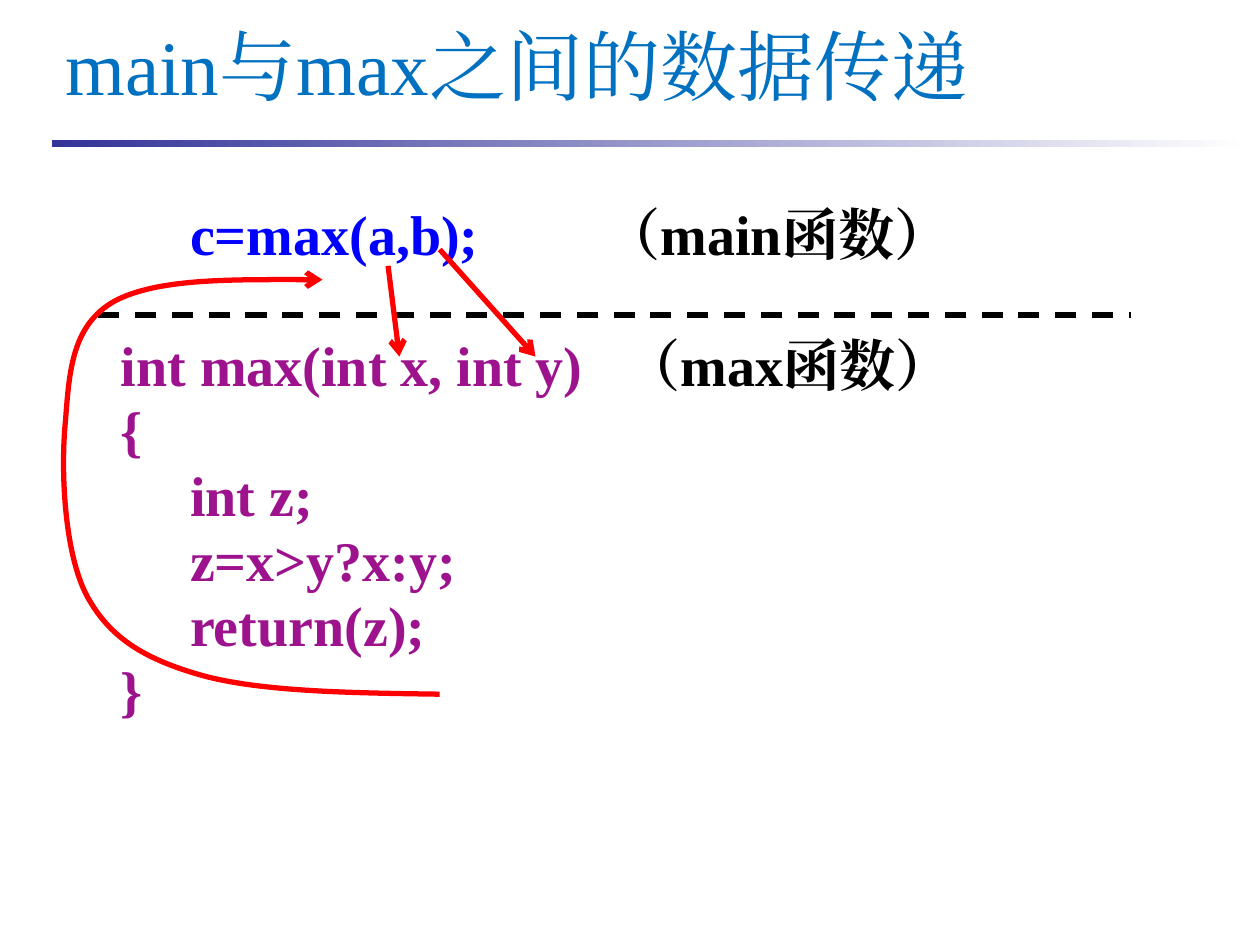
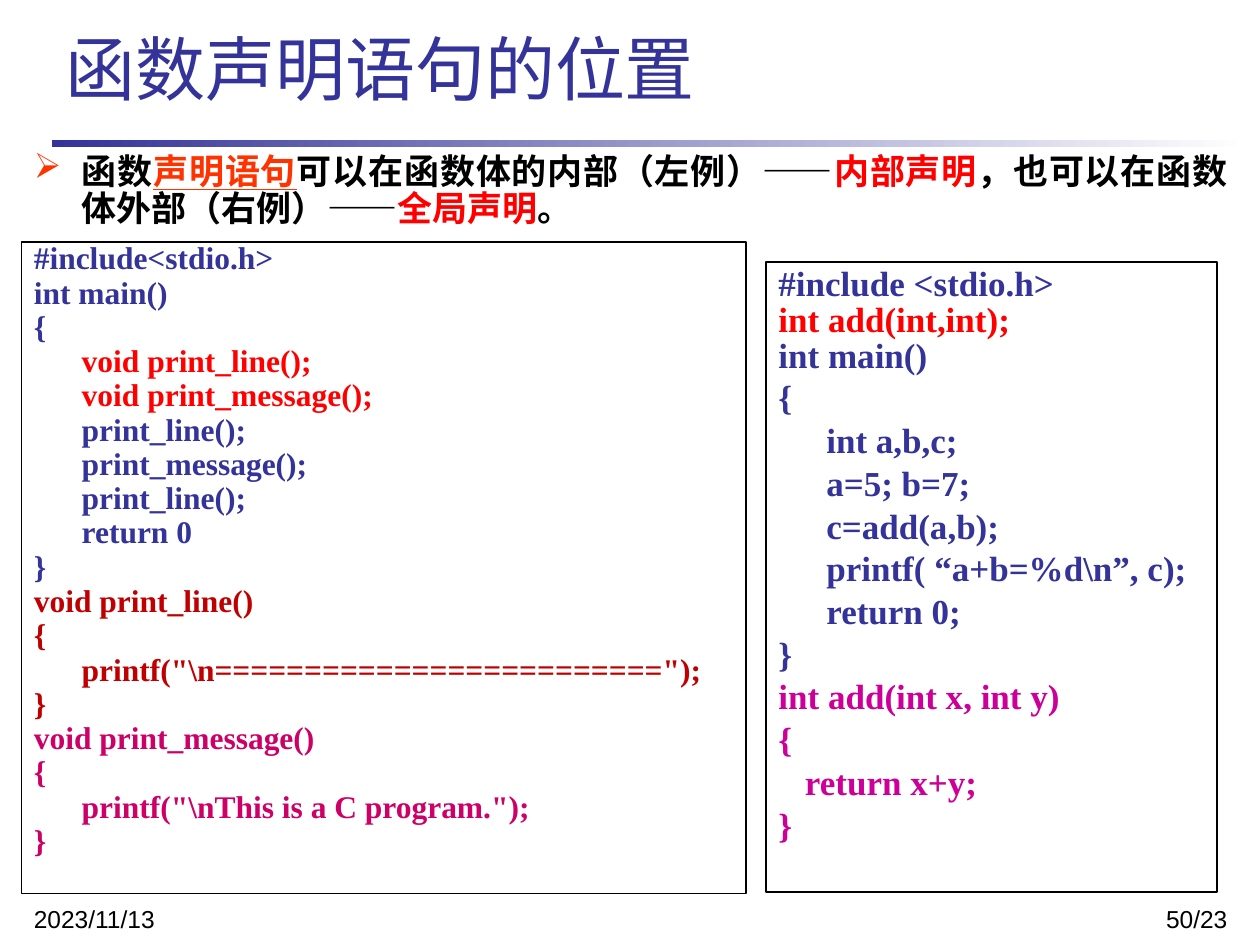
from lxml import etree
from pptx import Presentation
from pptx.dml.color import RGBColor
from pptx.enum.dml import MSO_LINE
from pptx.enum.shapes import MSO_CONNECTOR, MSO_SHAPE
from pptx.enum.text import MSO_ANCHOR, MSO_AUTO_SIZE, PP_ALIGN
from pptx.oxml.ns import qn
from pptx.util import Inches, Pt

RECTANGLE = MSO_SHAPE.RECTANGLE
STRAIGHT = MSO_CONNECTOR.STRAIGHT
LEFT, RIGHT, JUSTIFY = PP_ALIGN.LEFT, PP_ALIGN.RIGHT, PP_ALIGN.JUSTIFY

COLOURS = {
    "black": "000000", "white": "FFFFFF", "navy": "333399", "azure": "0070C0",
    "blue": "0000FF", "purple": "9D138D", "red": "FF0000", "orange": "FF3300",
    "dark red": "C00000", "magenta": "CC0099", "crimson": "CC0066",
}
SERIF, SANS, CHINESE = "Times New Roman", "Arial", "Noto Sans CJK SC"

TITLE_BOX = (0.42, 0.25, 9.33, 0.67)
BAND_BOX = (0.41, 1.11, 9.51, 0.06)
HANGING = 0.38

# Every paragraph is a list of (text, colour) runs.
CALL_TITLE = "main与max之间的数据传递"
CALL_BOX = (0.86, 1.64, 8.59, 4.77)
CALL_LINES = [
    [("\tc=max(a,b);\t", "blue"), ("（main函数）", "black")],
    [("int max(int x, int y)\t", "purple"), ("（max函数）", "black")],
    [("{", "purple")],
    [("\tint z;", "purple")],
    [("\tz=x>y?x:y;", "purple")],
    [("\treturn(z);", "purple")],
    [("}", "purple")],
]
CALL_TABS = [(0.55, 3.84), (4.0,)] + [(0.55,)] * 5
DIVIDER = ((0.78, 2.5), (8.98, 2.5))
ARGUMENT_ARROWS = [((3.08, 2.11), (3.17, 2.83)), ((3.49, 1.98), (4.25, 2.83))]
RETURN_CURVE = [
    (3.49, 5.51),
    (2.78, 5.5), (2.07, 5.49), (1.6, 5.36),
    (1.14, 5.23), (0.87, 5.06), (0.69, 4.73),
    (0.51, 4.39), (0.48, 3.73), (0.52, 3.34),
    (0.55, 2.95), (0.57, 2.58), (0.91, 2.39),
    (1.25, 2.21), (1.91, 2.22), (2.56, 2.22),
]

DECLARATION_TITLE = "函数声明语句的位置"
RULE_BOX = (0.17, 1.17, 9.67, 1.25)
RULE = [
    ("函数", "black"), ("声明语句", "orange"),
    ("可以在函数体的内部（左例）——", "black"), ("内部声明", "red"),
    ("，也可以在函数体外部（右例）——", "black"), ("全局声明", "red"), ("。", "black"),
]
INNER_BOX = (0.17, 1.92, 5.75, 5.17)
INNER_CODE = [
    ("navy", ["#include<stdio.h>", "int main()", "{"]),
    ("red", ["\tvoid print_line();", "\tvoid print_message();"]),
    ("navy", ["\tprint_line();", "\tprint_message();", "\tprint_line();", "\treturn 0", "}"]),
    ("dark red", ["void print_line()", "{", '\tprintf("\\n=========================");', "}"]),
    ("crimson", ["void print_message()", "{", '\tprintf("\\nThis is a C program.");', "}"]),
]
GLOBAL_BOX = (6.08, 2.08, 3.58, 5)
GLOBAL_CODE = [
    ("navy", ["#include <stdio.h>"]),
    ("red", ["int add(int,int);"]),
    ("navy", ["int main()", "{", "\tint a,b,c;", "\ta=5; b=7;", "\tc=add(a,b);",
              "\tprintf( “a+b=%d\\n”, c);", "\treturn 0;", "}"]),
    ("magenta", ["int add(int x, int y)", "{", "return x+y;", "}"]),
]
FOOTERS = [
    ("2023/11/13", (0.17, 7.17, 2.33, 0.18), LEFT),
    ("50/23", (7.92, 7.17, 1.92, 0.18), RIGHT),
]


def colour(name):
    return RGBColor.from_string(COLOURS[name])


def inches(values):
    return [Inches(value) for value in values]


def add_element(parent, tag, **attributes):
    return etree.SubElement(parent, qn(tag), attributes)


def write_runs(paragraph, runs, size, font_name, bold=False):
    for text, colour_name in runs:
        run = paragraph.add_run()
        run.text = text
        font = run.font
        font.size, font.bold, font.name = Pt(size), bold, font_name
        font.color.rgb = colour(colour_name)
        add_element(run._r.get_or_add_rPr(), "a:ea", typeface=font_name)


def write_paragraphs(frame, lines, size, font_name, spacing, bold=False, align=LEFT):
    """Fill a frame; later paragraphs get a gap of a fifth of the text size."""
    frame.word_wrap = True
    frame.vertical_anchor = MSO_ANCHOR.TOP
    for index, runs in enumerate(lines):
        paragraph = frame.add_paragraph() if index else frame.paragraphs[0]
        paragraph.alignment = align
        paragraph.line_spacing = spacing
        paragraph.space_before = Pt(size * 0.2 if index else 0)
        write_runs(paragraph, runs, size, font_name, bold)
    return frame.paragraphs


def add_text(slide, box, lines, *style, **options):
    frame = slide.shapes.add_textbox(*inches(box)).text_frame
    return write_paragraphs(frame, lines, *style, **options)


def set_indent(paragraph, margin, first_line=0.0):
    properties = paragraph._p.get_or_add_pPr()
    properties.set("marL", str(Inches(margin)))
    properties.set("indent", str(Inches(first_line)))


def set_tabs(paragraph, stops):
    tabs = add_element(paragraph._p.get_or_add_pPr(), "a:tabLst")
    for stop in stops:
        add_element(tabs, "a:tab", pos=str(Inches(stop)), algn="l")


def style_line(shape, colour_name, arrow=False):
    shape.line.color.rgb = colour(colour_name)
    shape.line.width = Pt(3)
    if arrow:
        add_element(shape.line._get_or_add_ln(), "a:tailEnd", type="arrow")


def add_line(slide, ends, colour_name, arrow=False):
    start, end = ends
    line = slide.shapes.add_connector(STRAIGHT, *inches(start + end))
    style_line(line, colour_name, arrow)
    add_element(line._element.spPr, "a:effectLst")
    return line


def add_curve(slide, points, colour_name):
    """Draw a Bezier curve: a start, then two controls and an end per segment."""
    points = [tuple(inches(point)) for point in points]
    builder = slide.shapes.build_freeform(*points[0])
    builder.add_line_segments(points[1:], close=False)
    curve = builder.convert_to_shape()
    curve.shadow.inherit = False
    curve.fill.background()
    style_line(curve, colour_name, arrow=True)
    segments = list(curve._element.iter(qn("a:lnTo")))
    for first in range(0, len(segments), 3):
        bezier = etree.Element(qn("a:cubicBezTo"))
        segments[first].addprevious(bezier)
        for segment in segments[first:first + 3]:
            bezier.append(segment[0])
            segment.getparent().remove(segment)


def add_titled_slide(presentation, title, size, font_name, colour_name, spacing):
    slide = presentation.slides.add_slide(presentation.slide_layouts[5])
    band = slide.shapes.add_shape(RECTANGLE, *inches(BAND_BOX))
    band.shadow.inherit = False
    band.line.fill.background()
    band.fill.gradient()
    band.fill.gradient_angle = 0
    for stop, name in zip(band.fill.gradient_stops, ("navy", "white")):
        stop.color.rgb = colour(name)

    placeholder = slide.shapes.title
    placeholder.left, placeholder.top, placeholder.width, placeholder.height = inches(TITLE_BOX)
    frame = placeholder.text_frame
    write_paragraphs(frame, [[(title, colour_name)]], size, font_name, spacing)
    frame.auto_size = MSO_AUTO_SIZE.NONE
    frame.vertical_anchor = MSO_ANCHOR.MIDDLE
    return slide


def add_code_box(slide, box, blocks, size, spacing, fill=None):
    shape = slide.shapes.add_shape(RECTANGLE, *inches(box))
    shape.shadow.inherit = False
    if fill:
        shape.fill.solid()
        shape.fill.fore_color.rgb = colour(fill)
    else:
        shape.fill.background()
    shape.line.color.rgb = colour("black")
    shape.line.width = Pt(0.75)
    lines = [[(text, name)] for name, texts in blocks for text in texts]
    paragraphs = write_paragraphs(shape.text_frame, lines, size, SERIF, spacing, bold=True)
    for paragraph in paragraphs:
        set_indent(paragraph, HANGING, -HANGING)
    return paragraphs


def build_call_slide(presentation):
    slide = add_titled_slide(presentation, CALL_TITLE, 44, SERIF, "azure", 0.8)
    paragraphs = add_text(slide, CALL_BOX, CALL_LINES, 32, SERIF, 0.8, bold=True)
    paragraphs[1].space_before = Pt(44)
    for paragraph, stops in zip(paragraphs, CALL_TABS):
        set_tabs(paragraph, stops)
    add_line(slide, DIVIDER, "black").line.dash_style = MSO_LINE.DASH
    for ends in ARGUMENT_ARROWS:
        add_line(slide, ends, "red", arrow=True)
    add_curve(slide, RETURN_CURVE, "red")


def build_declaration_slide(presentation):
    slide = add_titled_slide(presentation, DECLARATION_TITLE, 40, CHINESE, "navy", 0.85)
    for text, box, align in FOOTERS:
        add_text(slide, box, [[(text, "black")]], 14, SANS, 0.8, align=align)

    rule = add_text(slide, RULE_BOX, [RULE], 20, CHINESE, Pt(21.5), bold=True, align=JUSTIFY)[0]
    rule.runs[1].font.underline = True
    set_indent(rule, HANGING, -HANGING)
    properties = rule._p.get_or_add_pPr()
    add_element(add_element(properties, "a:buClr"), "a:srgbClr", val=COLOURS["orange"])
    add_element(properties, "a:buChar", char="➢")

    global_lines = add_code_box(slide, GLOBAL_BOX, GLOBAL_CODE, 20, 0.85)
    for paragraph in global_lines[1:3]:
        paragraph.space_before = Pt(0)
    set_indent(global_lines[-2], 0.21)
    add_code_box(slide, INNER_BOX, INNER_CODE, 18, Pt(16), fill="white")


def main():
    presentation = Presentation()
    presentation.slide_width, presentation.slide_height = Inches(10), Inches(7.5)
    build_call_slide(presentation)
    build_declaration_slide(presentation)
    presentation.save("out.pptx")


if __name__ == "__main__":
    main()
